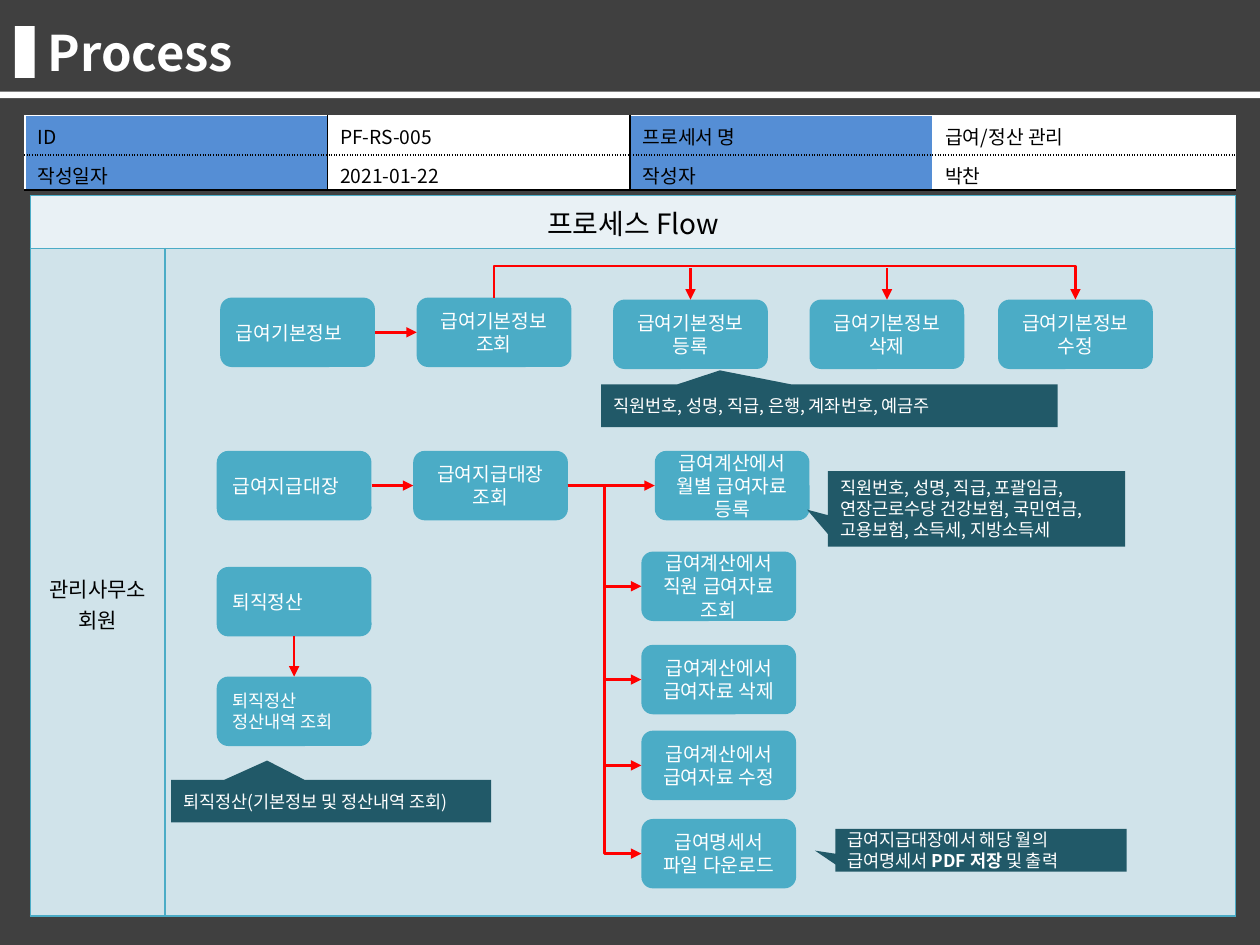
from lxml import etree
from pptx import Presentation
from pptx.dml.color import RGBColor
from pptx.enum.shapes import MSO_CONNECTOR, MSO_SHAPE
from pptx.enum.text import MSO_ANCHOR, MSO_AUTO_SIZE, PP_ALIGN
from pptx.oxml.ns import qn
from pptx.util import Cm, Pt

ROUNDED, RECTANGLE = MSO_SHAPE.ROUNDED_RECTANGLE, MSO_SHAPE.RECTANGLE
CALLOUT = MSO_SHAPE.RECTANGULAR_CALLOUT
STRAIGHT, ELBOW = MSO_CONNECTOR.STRAIGHT, MSO_CONNECTOR.ELBOW
LEFT, CENTER = PP_ALIGN.LEFT, PP_ALIGN.CENTER
TOP, MIDDLE = MSO_ANCHOR.TOP, MSO_ANCHOR.MIDDLE
SITE_TOP, SITE_LEFT, SITE_BOTTOM, SITE_RIGHT = range(4)

KOREAN, LATIN = "Noto Sans CJK KR", "Arial"
WHITE, BLACK, DARK, RED = "FFFFFF", "000000", "404040", "FF0000"
TEAL, DEEP_TEAL, BLUE = "4BACC6", "215968", "558ED5"
PALE, MIST = "E9F1F5", "D0E3EA"
NODE_WIDTH, NODE_HEIGHT, NODE_PITCH = 3.12, 1.4, 3.96


def paint(fill, color):
    fill.solid()
    fill.fore_color.rgb = RGBColor.from_string(color)


def add_span(para, text, size, color, font=KOREAN, bold=False):
    for index, line in enumerate(text.split("\n")):
        if index:
            para.add_line_break()
        if not line:
            continue
        span = para.add_run()
        span.text = line
        span.font.size = Pt(size)
        span.font.bold = bold
        span.font.name = font
        span.font.color.rgb = RGBColor.from_string(color)
        east_asian = etree.SubElement(span.font._element, qn("a:ea"))
        east_asian.set("typeface", KOREAN)


def add_block(page, kind, box, color):
    shape = page.shapes.add_shape(kind, *map(Cm, box))
    shape.shadow.inherit = False
    paint(shape.fill, color)
    shape.line.fill.background()
    return shape


def write_block(shape, spans, size, font=KOREAN, align=LEFT):
    frame = shape.text_frame
    frame.word_wrap = True
    frame.vertical_anchor = MIDDLE
    para = frame.paragraphs[0]
    para.alignment = align
    para.line_spacing = Pt(size * 1.2)
    for text, bold in spans:
        add_span(para, text, size, WHITE, font, bold)


def add_node(page, left, top, text, size=11, font=LATIN, align=CENTER):
    node = add_block(page, ROUNDED, (left, top, NODE_WIDTH, NODE_HEIGHT), TEAL)
    write_block(node, [(text, False)], size, font, align)
    return node


def add_callout(page, box, pointer, spans):
    callout = add_block(page, CALLOUT, box, DEEP_TEAL)
    callout.adjustments[0], callout.adjustments[1] = pointer
    write_block(callout, spans, 10)


def add_arrow(page, end, end_site, start=None, start_site=None, origin=(0, 0), kind=STRAIGHT):
    arrow = page.shapes.add_connector(kind, *origin, *origin)
    if start is not None:
        arrow.begin_connect(start, start_site)
    arrow.end_connect(end, end_site)
    arrow.line.width = Pt(1.5)
    arrow.line.color.rgb = RGBColor.from_string(RED)
    properties = arrow.element.spPr
    etree.SubElement(properties.find(qn("a:ln")), qn("a:tailEnd")).set("type", "triangle")
    etree.SubElement(properties, qn("a:effectLst"))
    return arrow


def route_over(arrow, start, end, rise):
    span = end.left + end.width // 2 - start.left - start.width // 2
    drop = end.top - start.top
    arrow.left = start.left + start.width // 2 + (span - drop) // 2
    arrow.top = start.top + (drop - span) // 2
    arrow.width, arrow.height = drop, span
    arrow.rotation = 270
    transform = arrow.element.spPr.find(qn("a:xfrm"))
    transform.attrib.pop("flipV", None)
    transform.set("flipH", "1")
    guides = arrow.element.spPr.find(qn("a:prstGeom")).find(qn("a:avLst"))
    guide = etree.SubElement(guides, qn("a:gd"))
    guide.set("name", "adj1")
    guide.set("fmla", f"val {round(-100000 * rise / drop)}")


def format_cell(cell, text, size, fill, borders, align=LEFT, anchor=TOP):
    properties = cell._tc.get_or_add_tcPr()
    for side, (color, dash) in zip("LRTB", borders):
        line = etree.SubElement(properties, qn(f"a:ln{side}"))
        line.set("w", str(Pt(1)))
        solid = etree.SubElement(line, qn("a:solidFill"))
        etree.SubElement(solid, qn("a:srgbClr")).set("val", color)
        etree.SubElement(line, qn("a:prstDash")).set("val", dash)
    paint(cell.fill, fill)
    cell.vertical_anchor = anchor
    para = cell.text_frame.paragraphs[0]
    para.alignment = align
    add_span(para, text, size, BLACK)


def add_grid(page, box, widths, heights):
    table = page.shapes.add_table(len(heights), len(widths), *map(Cm, box)).table
    table.first_row = table.horz_banding = False
    for column, width in zip(table.columns, widths):
        column.width = Cm(width)
    for row, height in zip(table.rows, heights):
        row.height = Cm(height)
    return table


def build_heading(page, left, top, width):
    title = page.shapes.title
    title.left, title.top, title.width, title.height = map(Cm, (left + 0.71, top + 0.33, 22.8, 1.45))
    frame = title.text_frame
    frame.auto_size = MSO_AUTO_SIZE.NONE
    frame.vertical_anchor = MIDDLE
    frame.paragraphs[0].alignment = LEFT
    add_span(frame.paragraphs[0], "Process", 28, WHITE, bold=True)
    add_block(page, RECTANGLE, (left + 0.3, top + 0.53, 0.4, 1.04), WHITE)
    add_block(page, RECTANGLE, (left, top + 1.85, width, 0.13), WHITE)


def build_summary(page, left, top, width, height):
    rows = [("ID", "PF-RS-005", "프로세서 명", "급여/정산 관리"),
            ("작성일자", "2021-01-22", "작성자", "박찬")]
    table = add_grid(page, (left, top, width, height), [width / 4] * 4, [0.79, height - 0.79])
    uprights = [(color, "solid") for color in (WHITE, BLACK, BLACK, WHITE, WHITE)]
    levels = [(WHITE, "solid"), (BLACK, "dot"), (BLACK, "solid")]
    for row, texts in enumerate(rows):
        for column, text in enumerate(texts):
            cell = table.cell(row, column)
            cell.margin_bottom = 0
            borders = uprights[column:column + 2] + levels[row:row + 2]
            format_cell(cell, text, 11, WHITE if column % 2 else BLUE, borders)


def build_frame(page, left, top, width, height):
    table = add_grid(page, (left, top, width, height), [2.72, width - 2.72], [1.07, height - 1.07])
    table.cell(0, 0).merge(table.cell(0, 1))
    table.cell(1, 0).margin_top = Cm(1)
    texts = [("프로세스 Flow", 16, PALE), ("", 16, PALE), ("관리사무소\n회원", 12, MIST), ("", 12, MIST)]
    for cell, (text, size, fill) in zip(table.iter_cells(), texts):
        format_cell(cell, text, size, fill, [(TEAL, "solid")] * 4, CENTER, MIDDLE)


def build_basic_flow(page, left, top):
    start = add_node(page, left, top, "급여기본정보", font=KOREAN, align=LEFT)
    lookup = add_node(page, left + NODE_PITCH, top, "급여기본정보\n조회")
    offsets = (2 * NODE_PITCH, 3 * NODE_PITCH, 15.68)
    register, delete, edit = [
        add_node(page, left + offset, top + 0.04, f"급여기본정보\n{action}")
        for offset, action in zip(offsets, ("등록", "삭제", "수정"))]
    add_callout(page, (left + 7.68, top + 1.75, 9.2, 0.86), (-0.24, -0.83),
                [("직원번호, 성명, 직급, 은행, 계좌번호, 예금주", False)])
    for node in (register, delete):
        add_arrow(page, node, SITE_TOP, origin=(node.left + node.width // 2, Cm(top - 0.59)))
    add_arrow(page, lookup, SITE_LEFT, start, SITE_RIGHT)
    over = add_arrow(page, edit, SITE_TOP, lookup, SITE_TOP, kind=ELBOW)
    route_over(over, lookup, edit, Cm(0.64))


def build_payroll_flow(page, left, top):
    start = add_node(page, left, top, "급여지급대장", font=KOREAN, align=LEFT)
    lookup = add_node(page, left + NODE_PITCH, top, "급여지급대장\n조회")
    register = add_node(page, left + 8.83, top, "급여계산에서\n월별 급여자료\n등록")
    add_arrow(page, lookup, SITE_LEFT, start, SITE_RIGHT)
    add_arrow(page, register, SITE_LEFT, lookup, SITE_RIGHT)
    steps = [(2.03, "급여계산에서\n직원 급여자료\n조회"), (3.91, "급여계산에서\n급여자료 삭제"),
             (5.64, "급여계산에서\n급여자료 수정"), (7.42, "급여명세서\n파일 다운로드")]
    for offset, text in steps:
        step = add_node(page, left + 8.56, top + offset, text)
        add_arrow(page, step, SITE_LEFT, lookup, SITE_RIGHT, kind=ELBOW)
    add_callout(page, (left + 12.32, top + 0.41, 5.99, 1.52), (-0.57, 0.01),
                [("직원번호, 성명, 직급, 포괄임금,\n연장근로수당 건강보험, 국민연금,\n고용보험, 소득세, 지방소득세", False)])
    add_callout(page, (left + 12.47, top + 7.62, 5.87, 0.86), (-0.57, 0.01),
                [("급여지급대장에서 해당 월의\n급여명세서 ", False), ("PDF 저장 ", True), ("및 출력", False)])


def build_retirement_flow(page, left, top):
    start = add_node(page, left, top, "퇴직정산", font=KOREAN, align=LEFT)
    lookup = add_node(page, left, top + 2.21, "퇴직정산\n정산내역 조회", 10, KOREAN, LEFT)
    add_arrow(page, lookup, SITE_TOP, start, SITE_BOTTOM)
    add_callout(page, (left - 0.92, top + 4.29, 6.45, 0.86), (-0.2, -0.95),
                [("퇴직정산(기본정보 및 정산내역 조회)", False)])


def main():
    deck = Presentation()
    deck.slide_width, deck.slide_height = Cm(25.4), Cm(19.05)
    page = deck.slides.add_slide(deck.slide_layouts[5])
    paint(page.background.fill, DARK)
    build_heading(page, 0, 0, 25.4)
    build_frame(page, 0.61, 3.94, 24.3, 14.53)
    build_summary(page, 0.5, 2.33, 24.4, 1.5)
    build_basic_flow(page, 4.44, 6)
    build_payroll_flow(page, 4.37, 9.09)
    build_retirement_flow(page, 4.37, 11.43)
    deck.save("out.pptx")


if __name__ == "__main__":
    main()
